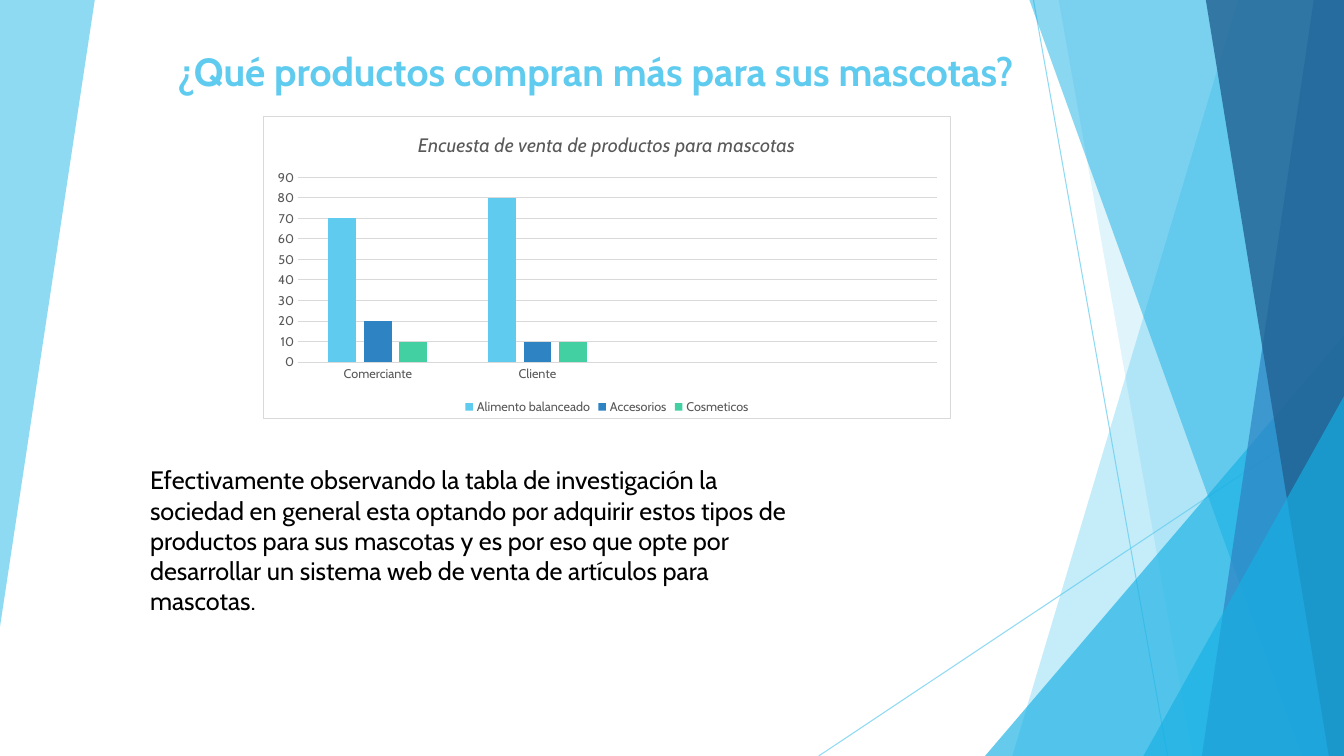
from lxml.etree import SubElement
from pptx import Presentation
from pptx.chart.data import CategoryChartData
from pptx.dml.color import RGBColor
from pptx.enum.chart import XL_CHART_TYPE, XL_LEGEND_POSITION, XL_TICK_MARK
from pptx.enum.shapes import MSO_CONNECTOR, MSO_SHAPE
from pptx.enum.text import MSO_ANCHOR, MSO_AUTO_SIZE, PP_ALIGN
from pptx.oxml import parse_xml
from pptx.oxml.ns import nsdecls, qn
from pptx.util import Inches, Pt

SKY, CYAN, BLUE, NAVY, GREEN = "5FCBEF", "17B0E4", "2E83C3", "226292", "42D0A2"
WHITE, BLACK, GRAY, RULE = "FFFFFF", "000000", "595959", "D9D9D9"
WIDTH, HEIGHT = 13.33, 7.5


def color(value):
    return RGBColor.from_string(value)


def set_alpha(properties, percent):
    for tone in properties.iter(qn("a:srgbClr")):
        SubElement(tone, qn("a:alpha")).set("val", str(percent * 1000))


class SlideBuilder:
    font = "Cabin"

    def __init__(self, deck):
        self.page = deck.slides.add_slide(deck.slide_layouts[5])
        self.shapes = self.page.shapes

    def style(self, font, size, tone, bold=False, italic=False):
        font.name, font.size = self.font, Pt(size)
        font.bold, font.italic = bold, italic
        font.color.rgb = color(tone)

    def rule(self, line, tone=RULE):
        line.color.rgb = color(tone)
        line.width = Pt(0.75)

    def paint(self, shape, tone, opacity):
        shape.shadow.inherit = False
        shape.fill.solid()
        shape.fill.fore_color.rgb = color(tone)
        shape.line.fill.background()
        set_alpha(shape._element.spPr, opacity)

    def facet(self, points, tone, opacity):
        corners = [(Inches(x), Inches(y)) for x, y in points]
        builder = self.shapes.build_freeform(*corners[0])
        builder.add_line_segments(corners[1:], close=True)
        self.paint(builder.convert_to_shape(), tone, opacity)

    def band(self, top_left, bottom_left, tone, opacity):
        self.facet([(top_left, 0), (WIDTH, 0), (WIDTH, HEIGHT), (bottom_left, HEIGHT)],
                   tone, opacity)

    def corner(self, left, top, tone, opacity):
        shape = self.shapes.add_shape(
            MSO_SHAPE.ISOSCELES_TRIANGLE, Inches(left), Inches(top),
            Inches(WIDTH - left), Inches(HEIGHT - top))
        shape.adjustments[0] = 1
        self.paint(shape, tone, opacity)

    def line(self, start, end, tone, opacity):
        connector = self.shapes.add_connector(
            MSO_CONNECTOR.STRAIGHT, *(Inches(value) for value in start + end))
        self.rule(connector.line, tone)
        properties = connector._element.spPr
        set_alpha(properties, opacity)
        SubElement(properties, qn("a:effectLst"))

    def add_text(self, frame, text, size, tone, align, bold=False):
        frame.word_wrap = True
        para = frame.paragraphs[0]
        para.alignment = align
        span = para.add_run()
        span.text = text
        self.style(span.font, size, tone, bold)

    def title(self, text, left, top, width, height, bottom):
        box = self.shapes.title
        self.shapes._spTree.append(box._element)
        box.left, box.top = Inches(left), Inches(top)
        box.width, box.height = Inches(width), Inches(height)
        frame = box.text_frame
        frame.auto_size = MSO_AUTO_SIZE.NONE
        frame.vertical_anchor = MSO_ANCHOR.BOTTOM
        frame.margin_bottom = Inches(bottom)
        self.add_text(frame, text, 28, SKY, PP_ALIGN.RIGHT, bold=True)

    def text(self, text, left, top, width, height):
        box = self.shapes.add_textbox(Inches(left), Inches(top), Inches(width), Inches(height))
        self.add_text(box.text_frame, text, 18, BLACK, PP_ALIGN.LEFT)

    def column_chart(self, heading, categories, series, left, top, width, height):
        data = CategoryChartData()
        data.categories = categories
        for name, values, tone in series:
            data.add_series(name, values)
        chart = self.shapes.add_chart(
            XL_CHART_TYPE.COLUMN_CLUSTERED, Inches(left), Inches(top),
            Inches(width), Inches(height), data).chart
        self.style(chart.font, 10, BLACK)

        chart.has_title = True
        span = chart.chart_title.text_frame.paragraphs[0].add_run()
        span.text = heading
        self.style(span.font, 14, GRAY, italic=True)
        chart.chart_title.include_in_layout = False

        chart.has_legend = True
        chart.legend.position = XL_LEGEND_POSITION.BOTTOM
        chart.legend.include_in_layout = False
        self.style(chart.legend.font, 9, GRAY)

        for axis in (chart.category_axis, chart.value_axis):
            axis.major_tick_mark = axis.minor_tick_mark = XL_TICK_MARK.NONE
            self.style(axis.tick_labels.font, 9, GRAY)
        self.rule(chart.category_axis.format.line)
        scale = chart.value_axis
        scale.minimum_scale, scale.maximum_scale, scale.major_unit = 0, 90, 10
        scale.format.line.fill.background()
        self.rule(scale.major_gridlines.format.line)

        plot = chart.plots[0]
        plot.gap_width, plot.overlap = 219, -27
        plot.vary_by_categories = False
        for columns, (name, values, tone) in zip(plot.series, series):
            columns.format.fill.solid()
            columns.format.fill.fore_color.rgb = color(tone)
        self.frame_chart(chart)

    def frame_chart(self, chart):
        chart.element.find(qn("c:chart")).addnext(parse_xml(
            f'<c:spPr {nsdecls("c", "a")}>'
            f'<a:solidFill><a:srgbClr val="{WHITE}"/></a:solidFill>'
            f'<a:ln w="{Pt(0.75)}"><a:solidFill><a:srgbClr val="{RULE}"/></a:solidFill></a:ln>'
            '</c:spPr>'))


deck = Presentation()
deck.slide_width, deck.slide_height = Inches(WIDTH), Inches(HEIGHT)
slide = SlideBuilder(deck)

slide.facet([(0, 0), (0.94, 0), (0, 6.22)], SKY, 70)
slide.line((10.25, 0), (11.58, HEIGHT), SKY, 70)
slide.line((WIDTH, 4.03), (8.12, HEIGHT), SKY, 70)
slide.band(12.28, 10.04, SKY, 36)
slide.band(10.5, 11.83, SKY, 20)
slide.corner(9.77, 3.33, CYAN, 66)
slide.band(10.21, 12.91, CYAN, 50)
slide.band(13.03, 11.92, BLUE, 70)
slide.band(11.96, 13.18, NAVY, 80)
slide.corner(11.34, 3.93, CYAN, 66)

slide.title("¿Qué productos compran más para sus mascotas?", 0.76, 0, 9.39, 1.86, bottom=0.92)
slide.column_chart(
    "Encuesta de venta de productos para mascotas",
    ["Comerciante", "Cliente", "", ""],
    [("Alimento balanceado", (70, 80, None, None), SKY),
     ("Accesorios", (20, 10, None, None), BLUE),
     ("Cosmeticos", (10, 10, None, None), GREEN)],
    2.61, 1.15, 6.82, 3.01)
slide.text(
    "Efectivamente observando la tabla de investigación la sociedad en general esta optando "
    "por adquirir estos tipos de productos para sus mascotas y es por eso que opte por "
    "desarrollar un sistema web de venta de artículos para mascotas.",
    1.39, 4.56, 6.67, 1.62)

deck.save("out.pptx")
